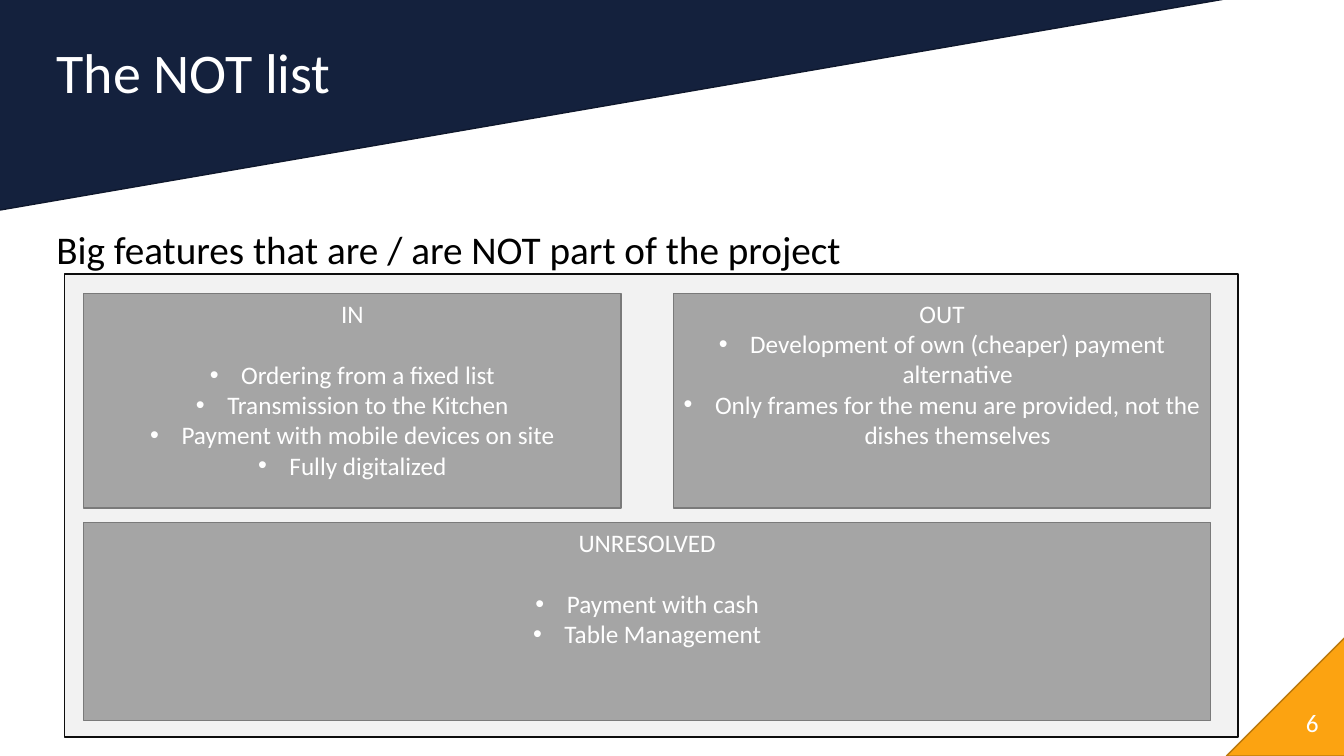
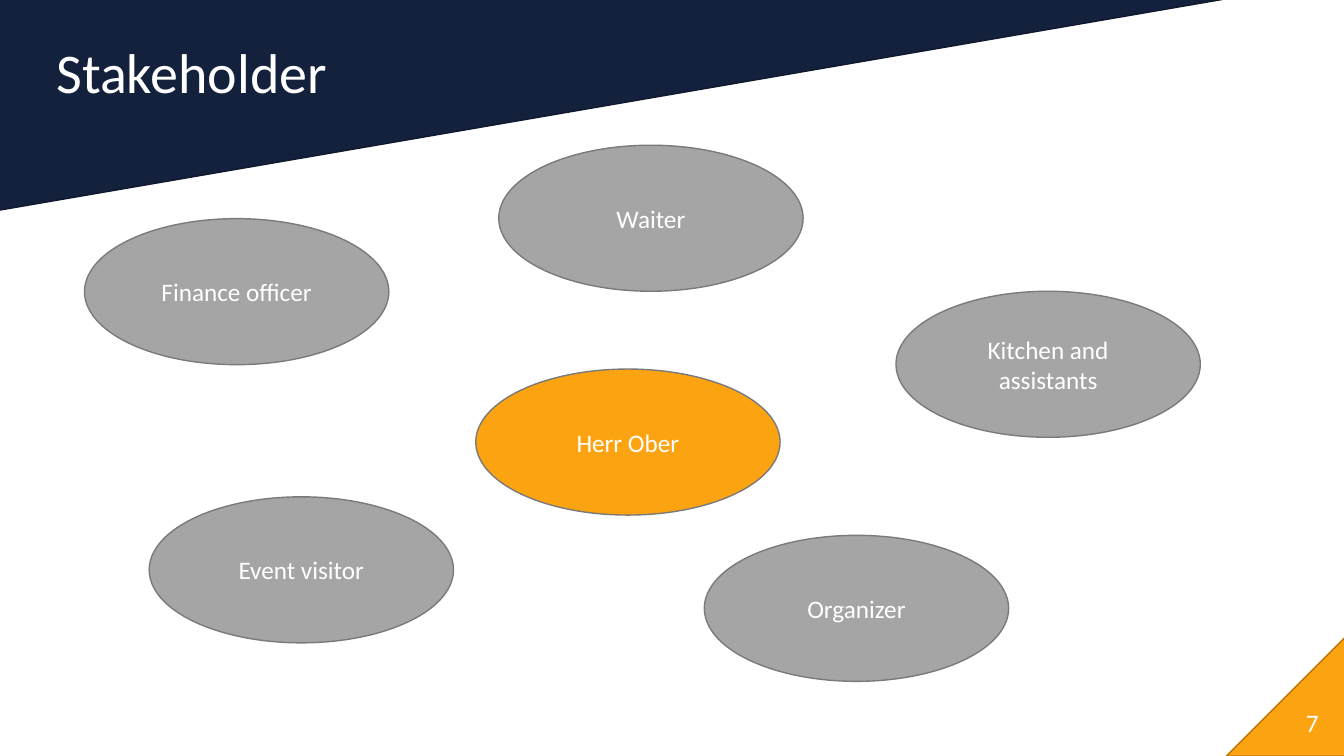
from dataclasses import dataclass

from lxml.etree import SubElement
from pptx import Presentation
from pptx.dml.color import RGBColor
from pptx.enum.shapes import MSO_SHAPE as Preset
from pptx.enum.text import MSO_ANCHOR as Anchor, PP_ALIGN as Align
from pptx.oxml.ns import qn
from pptx.util import Cm, Pt


@dataclass(frozen=True)
class Theme:
    font: str = "Calibri"
    navy: str = "14213D"
    navy_line: str = "0F182D"
    orange: str = "FCA311"
    orange_line: str = "BA790D"
    grey: str = "A5A5A5"
    grey_line: str = "7A7A7A"
    pale: str = "F2F2F2"
    frame_line: str = "0D0D0D"
    white: str = "FFFFFF"
    black: str = "000000"
    title_size: int = 40
    lead_size: int = 28
    text_size: int = 18
    line_height: int = 22


@dataclass(frozen=True)
class Box:
    """A rectangle in centimetres."""
    left: float
    top: float
    width: float
    height: float

    def lengths(self):
        return Cm(self.left), Cm(self.top), Cm(self.width), Cm(self.height)

    def inner_box(self, left, top, width, height):
        """Return a box whose place is counted from this one's corner."""
        return Box(self.left + left, self.top + top, width, height)


THEME = Theme()
PAGE = Box(0, 0, 33.87, 19.05)
BULLET_INDENT = Cm(0.79)


def style_paragraph(paragraph, size, color, align):
    paragraph.alignment = align
    font = paragraph.font
    font.name = THEME.font
    font.size = Pt(size)
    font.color.rgb = RGBColor.from_string(color)


def add_bullet(paragraph):
    properties = paragraph._p.get_or_add_pPr()
    properties.set("marL", str(BULLET_INDENT))
    properties.set("indent", str(-BULLET_INDENT))
    SubElement(properties, qn("a:buFont")).set("typeface", "Arial")
    SubElement(properties, qn("a:buChar")).set("char", "•")


def add_figure(slide, preset, box, fill, line):
    shape = slide.shapes.add_shape(preset, *box.lengths())
    shape.shadow.inherit = False
    shape.fill.solid()
    shape.fill.fore_color.rgb = RGBColor.from_string(fill)
    shape.line.color.rgb = RGBColor.from_string(line)
    shape.line.width = Pt(1)
    return shape


def add_triangle(slide, box, fill, line, flip):
    triangle = add_figure(slide, Preset.RIGHT_TRIANGLE, box, fill, line)
    triangle.element.spPr.xfrm.set(flip, "1")
    return triangle


def add_text(slide, box, text, size, color, align=Align.LEFT, anchor=Anchor.TOP):
    frame = slide.shapes.add_textbox(*box.lengths()).text_frame
    frame.word_wrap = True
    frame.vertical_anchor = anchor
    paragraph = frame.paragraphs[0]
    paragraph.text = text
    style_paragraph(paragraph, size, color, align)
    return paragraph


def add_page_corner(slide, box, number):
    add_triangle(slide, box, THEME.orange, THEME.orange_line, "flipH")
    number_box = box.inner_box(-5.05, 1.65, 7.62, 1.02)
    add_text(slide, number_box, str(number), THEME.text_size, THEME.white,
             Align.RIGHT, Anchor.MIDDLE)


def add_titled_slide(presentation, title_text, number):
    slide = presentation.slides.add_slide(presentation.slide_layouts[5])
    title = slide.shapes.title
    title_box = PAGE.inner_box(1.17, 0, 29.11, 3.78)
    title.left, title.top, title.width, title.height = title_box.lengths()
    title.text = title_text
    title.text_frame.vertical_anchor = Anchor.MIDDLE
    paragraph = title.text_frame.paragraphs[0]
    paragraph.line_spacing = 0.9
    style_paragraph(paragraph, THEME.title_size, THEME.white, Align.LEFT)

    band = add_triangle(slide, PAGE.inner_box(-0.03, -0.03, 30.94, 5.33),
                        THEME.navy, THEME.navy_line, "flipV")
    title.element.addprevious(band.element)
    add_page_corner(slide, PAGE.inner_box(30.91, 16.05, 3, 3), number)
    return slide


def add_feature_panel(slide, box, heading, features, gap):
    """Add a grey panel; gap is the space in points below its heading."""
    panel = add_figure(slide, Preset.RECTANGLE, box, THEME.grey, THEME.grey_line)
    frame = panel.text_frame
    frame.vertical_anchor = Anchor.TOP
    paragraph = frame.paragraphs[0]
    paragraph.text = heading
    paragraph.space_after = Pt(gap)
    style_paragraph(paragraph, THEME.text_size, THEME.white, Align.CENTER)
    for feature in features:
        paragraph = frame.add_paragraph()
        paragraph.text = feature
        add_bullet(paragraph)
        style_paragraph(paragraph, THEME.text_size, THEME.white, Align.CENTER)


def add_feature_board(slide, box):
    """Frame two panels side by side above a full-width one."""
    add_figure(slide, Preset.RECTANGLE, box, THEME.pale, THEME.frame_line)
    inner = box.inner_box(0.48, 0.48, 28.4, 10.77)
    column_gap, row_gap, top_height = 1.32, 0.36, 5.41
    column_width = (inner.width - column_gap) / 2
    bottom_top = top_height + row_gap

    add_feature_panel(slide, inner.inner_box(0, 0, column_width, top_height), "IN", [
        "Ordering from a fixed list",
        "Transmission to the Kitchen",
        "Payment with mobile devices on site",
        "Fully digitalized",
    ], THEME.line_height)
    out_box = inner.inner_box(column_width + column_gap, 0, column_width, top_height)
    add_feature_panel(slide, out_box, "OUT", [
        "Development of own (cheaper) payment alternative",
        "Only frames for the menu are provided, not the dishes themselves",
    ], 0)
    unresolved_box = inner.inner_box(0, bottom_top, inner.width, inner.height - bottom_top)
    add_feature_panel(slide, unresolved_box, "UNRESOLVED", [
        "Payment with cash",
        "Table Management",
    ], THEME.line_height)


def add_stakeholder_map(slide, box):
    stakeholders = [
        ("Herr Ober", 9.86, 5.64, THEME.orange),
        ("Event visitor", 1.63, 8.86, THEME.grey),
        ("Waiter", 10.44, 0, THEME.grey),
        ("Kitchen and assistants", 20.45, 3.68, THEME.grey),
        ("Finance officer", 0, 1.85, THEME.grey),
        ("Organizer", 15.62, 9.83, THEME.grey),
    ]
    for name, left, top, fill in stakeholders:
        ellipse = add_figure(slide, Preset.OVAL, box.inner_box(left, top, 7.67, 3.68),
                             fill, THEME.grey_line)
        frame = ellipse.text_frame
        frame.vertical_anchor = Anchor.MIDDLE
        frame.text = name
        style_paragraph(frame.paragraphs[0], THEME.text_size, THEME.white, Align.CENTER)


def build_not_list(presentation):
    slide = add_titled_slide(presentation, "The NOT list", 6)
    lead = add_text(slide, PAGE.inner_box(1.17, 5.69, 31.47, 1.3),
                    "Big features that are / are NOT part of the project",
                    THEME.lead_size, THEME.black)
    lead.line_spacing = 0.9
    add_feature_board(slide, PAGE.inner_box(1.63, 6.91, 29.57, 11.66))


def build_stakeholders(presentation):
    slide = add_titled_slide(presentation, "Stakeholder", 7)
    add_stakeholder_map(slide, PAGE.inner_box(2.13, 3.66, 28.12, 13.51))


def main():
    presentation = Presentation()
    presentation.slide_width = Cm(PAGE.width)
    presentation.slide_height = Cm(PAGE.height)
    build_not_list(presentation)
    build_stakeholders(presentation)
    presentation.save("out.pptx")


if __name__ == "__main__":
    main()
